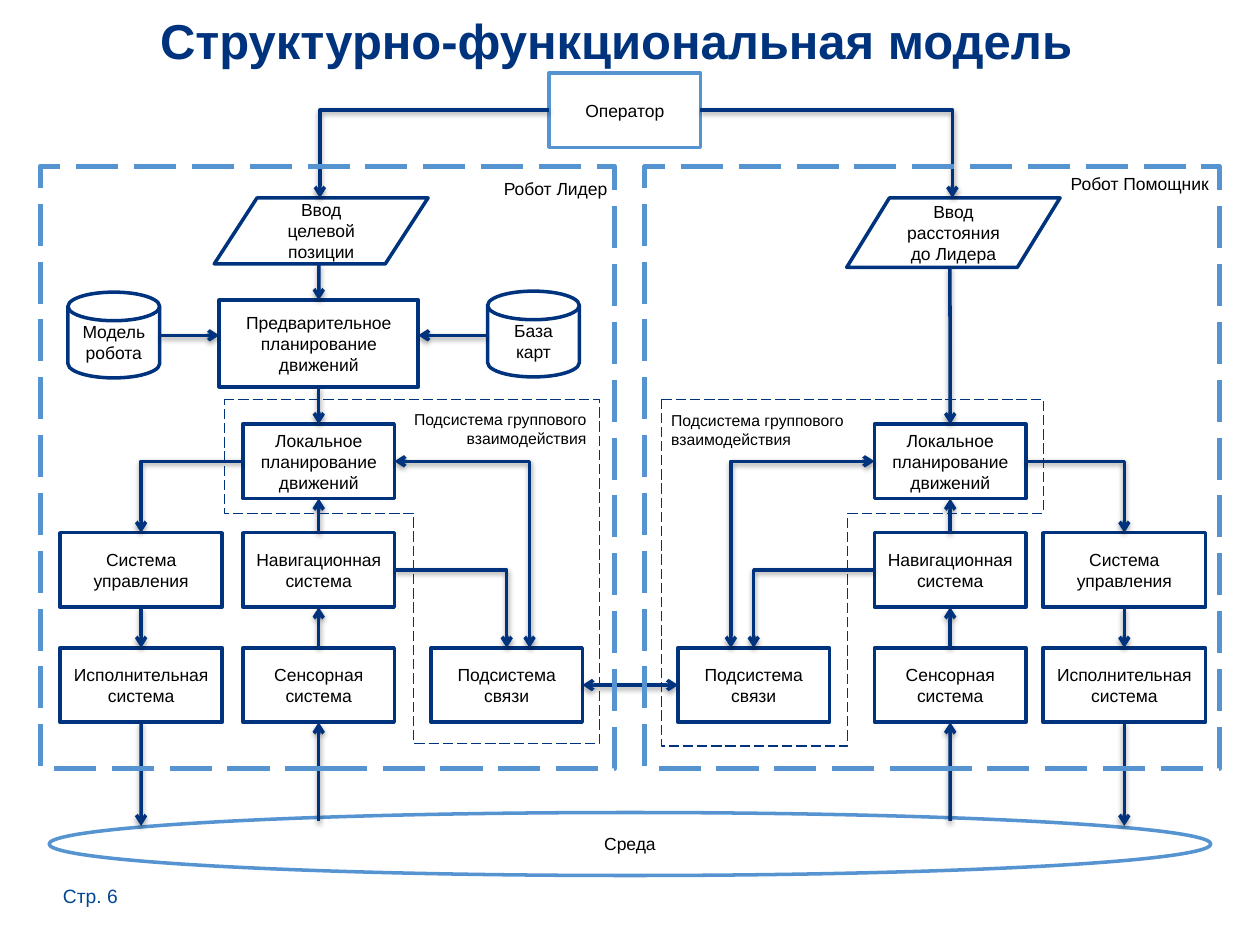
import pptx
import pptx.dml.color
import pptx.enum.dml
import pptx.enum.shapes
import pptx.enum.text
import pptx.oxml
import pptx.oxml.ns
import pptx.util
from pptx.util import Cm

NAVY = "00337D"
SKY = "5693D1"
SHAPES = pptx.enum.shapes.MSO_SHAPE
CONNECTORS = pptx.enum.shapes.MSO_CONNECTOR
ALIGN = pptx.enum.text.PP_ALIGN
ANCHOR = pptx.enum.text.MSO_ANCHOR
TOP, LEFT, BOTTOM, RIGHT = range(4)
ROW_HEIGHT = 1.5
LOCAL_TOP, MIDDLE_TOP, LOWER_TOP = 8.55, 10.74, 13.06
ENVIRONMENT_EDGE = 16.55

SHADOW = (
    "<a:effectLst %s><a:outerShdw blurRad='40000' dist='20000' dir='5400000'"
    " rotWithShape='0'><a:srgbClr val='000000'><a:alpha val='38000'/>"
    "</a:srgbClr></a:outerShdw></a:effectLst>" % pptx.oxml.ns.nsdecls("a")
)


def color(value):
    return pptx.dml.color.RGBColor.from_string(value)


def write(frame, text, size=10, fill="000000", bold=False, align=ALIGN.CENTER,
          anchor=ANCHOR.TOP, margins=(0.25, 0.13)):
    frame.word_wrap = True
    frame.vertical_anchor = anchor
    frame.margin_left = frame.margin_right = Cm(margins[0])
    frame.margin_top = frame.margin_bottom = Cm(margins[1])
    frame.text = text
    for paragraph in frame.paragraphs:
        paragraph.alignment = align
        paragraph.font.name = "Arial"
        paragraph.font.size = pptx.util.Pt(size)
        paragraph.font.bold = bold
        paragraph.font.color.rgb = color(fill)


def add_label(slide, area, text, **style):
    label = slide.shapes.add_textbox(*map(Cm, area))
    write(label.text_frame, text, **style)


def outline(shape, line_color, width, dashed=False):
    shape.shadow.inherit = False
    shape.line.color.rgb = color(line_color)
    shape.line.width = pptx.util.Pt(width)
    if dashed:
        shape.line.dash_style = pptx.enum.dml.MSO_LINE.LONG_DASH


def add_block(slide, area, text, kind=SHAPES.FLOWCHART_PROCESS, line_color=NAVY):
    block = slide.shapes.add_shape(kind, *map(Cm, area))
    block.fill.solid()
    block.fill.fore_color.rgb = color("FFFFFF")
    outline(block, line_color, 2)
    write(block.text_frame, text, anchor=ANCHOR.MIDDLE, margins=(0.2, 0.13))
    return block


def add_frame(slide, area):
    frame = slide.shapes.add_shape(SHAPES.RECTANGLE, *map(Cm, area))
    frame.fill.background()
    outline(frame, SKY, 3, dashed=True)


def add_boundary(slide, corners):
    points = [(Cm(x), Cm(y)) for x, y in corners]
    builder = slide.shapes.build_freeform(*points[0])
    builder.add_line_segments(points[1:], close=True)
    boundary = builder.convert_to_shape()
    boundary.fill.background()
    outline(boundary, NAVY, 0.75, dashed=True)


def add_arrow(slide, start, end, both=False, bent=False):
    kind = CONNECTORS.ELBOW if bent else CONNECTORS.STRAIGHT
    arrow = slide.shapes.add_connector(kind, 0, 0, 0, 0)
    if isinstance(start[0], float):
        arrow.begin_x, arrow.begin_y = map(Cm, start)
    else:
        arrow.begin_connect(*start)
    if isinstance(end[0], float):
        arrow.end_x, arrow.end_y = map(Cm, end)
    else:
        arrow.end_connect(*end)
    arrow.line.color.rgb = color(NAVY)
    arrow.line.width = pptx.util.Pt(2)
    properties = arrow.element.spPr
    if bent:
        properties.find(pptx.oxml.ns.qn("a:prstGeom")).set("prst", "bentConnector2")
    stroke = properties.find(pptx.oxml.ns.qn("a:ln"))
    for tip in ("headEnd", "tailEnd") if both else ("tailEnd",):
        stroke.append(pptx.oxml.parse_xml(
            "<a:%s %s type='arrow'/>" % (tip, pptx.oxml.ns.nsdecls("a"))))
    properties.append(pptx.oxml.parse_xml(SHADOW))


def add_robot(slide, outer_x, inner_x, link_x, outward, inward):
    def outer(top, text):
        return add_block(slide, (outer_x, top, 3.27, ROW_HEIGHT), text)

    def inner(top, text, left=inner_x):
        return add_block(slide, (left, top, 3.05, ROW_HEIGHT), text)

    planning = inner(LOCAL_TOP, "Локальное планирование движений")
    navigation = inner(MIDDLE_TOP, "Навигационная система")
    sensors = inner(LOWER_TOP, "Сенсорная система")
    link = inner(LOWER_TOP, "Подсистема\nсвязи", link_x)
    control = outer(MIDDLE_TOP, "Система управления")
    execution = outer(LOWER_TOP, "Исполнительная система")

    add_arrow(slide, (inner_x + 1.525, ENVIRONMENT_EDGE), (sensors, BOTTOM))
    add_arrow(slide, (sensors, TOP), (navigation, BOTTOM))
    add_arrow(slide, (navigation, TOP), (planning, BOTTOM))
    add_arrow(slide, (control, BOTTOM), (execution, TOP))
    add_arrow(slide, (execution, BOTTOM), (outer_x + 1.635, ENVIRONMENT_EDGE + 0.1))
    add_arrow(slide, (planning, outward), (control, TOP), bent=True)
    add_arrow(slide, (navigation, inward), (link, TOP), bent=True)
    shift = 0.46 if inward == RIGHT else -0.46
    add_arrow(slide, (planning, inward), (link_x + 1.525 + shift, LOWER_TOP),
              both=True, bent=True)
    return planning, link


def main():
    presentation = pptx.Presentation()
    presentation.slide_width, presentation.slide_height = Cm(25.4), Cm(19.05)
    slide = presentation.slides.add_slide(presentation.slide_layouts[5])
    title = slide.shapes.title
    title.left, title.top, title.width, title.height = map(Cm, (0.99, 0.08, 22.86, 2.49))
    write(title.text_frame, "Структурно-функциональная модель",
          size=28, fill=NAVY, bold=True)

    operator = add_block(slide, (11.07, 1.47, 3.05, ROW_HEIGHT), "Оператор",
                         line_color=SKY)
    add_block(slide, (0.99, 16.38, 23.42, 1.27), "Среда", SHAPES.OVAL, SKY)
    add_block(slide, (4.32, 3.99, 4.31, 1.33), "Ввод целевой позиции",
              SHAPES.FLOWCHART_DATA)
    add_block(slide, (17.07, 3.99, 4.3, 1.4), "Ввод расстояния до Лидера",
              SHAPES.FLOWCHART_DATA)
    preplanning = add_block(slide, (4.42, 6.05, 4.01, 1.75),
                            "Предварительное планирование движений")
    add_block(slide, (1.37, 5.89, 1.85, 1.73), "Модель\nробота",
              SHAPES.FLOWCHART_MAGNETIC_DISK)
    add_block(slide, (9.83, 5.87, 1.85, 1.73), "База карт",
              SHAPES.FLOWCHART_MAGNETIC_DISK)

    leader_planning, leader_link = add_robot(slide, 1.21, 4.9, 8.69, LEFT, RIGHT)
    helper_planning, helper_link = add_robot(slide, 21.03, 17.63, 13.67, RIGHT, LEFT)

    add_arrow(slide, (operator, LEFT), (6.45, 3.99), bent=True)
    add_arrow(slide, (operator, RIGHT), (19.2, 3.99), bent=True)
    add_arrow(slide, (6.43, 5.32), (preplanning, TOP))
    add_arrow(slide, (3.25, 6.76), (4.42, 6.76))
    add_arrow(slide, (9.83, 6.76), (8.43, 6.76))
    add_arrow(slide, (preplanning, BOTTOM), (leader_planning, TOP))
    add_arrow(slide, (19.15, 5.39), (helper_planning, TOP))
    add_arrow(slide, (leader_link, RIGHT), (helper_link, LEFT), both=True)

    add_boundary(slide, [(4.52, 8.05), (12.08, 8.05), (12.08, 14.99),
                         (8.34, 14.99), (8.34, 10.35), (4.52, 10.35)])
    add_boundary(slide, [(13.34, 8.05), (21.03, 8.05), (21.03, 10.35),
                         (17.09, 10.35), (17.09, 15.04), (13.34, 15.04)])
    for frame_x in (0.81, 13.0):
        add_frame(slide, (frame_x, 3.35, 11.58, 12.14))

    add_label(slide, (9.78, 3.45, 2.84, 0.89), "Робот Лидер")
    add_label(slide, (20.65, 3.35, 4.65, 0.89), "Робот Помощник")
    subsystem = "Подсистема группового взаимодействия"
    add_label(slide, (7.42, 8.13, 4.65, 0.89), subsystem, size=9, align=ALIGN.RIGHT)
    add_label(slide, (13.28, 8.15, 4.65, 0.89), subsystem, size=9, align=ALIGN.LEFT)
    add_label(slide, (1.27, 17.83, 2.46, 0.56), "Стр. 6", size=11, fill="004793",
              align=ALIGN.LEFT, margins=(0, 0))
    presentation.save("out.pptx")


if __name__ == "__main__":
    main()
